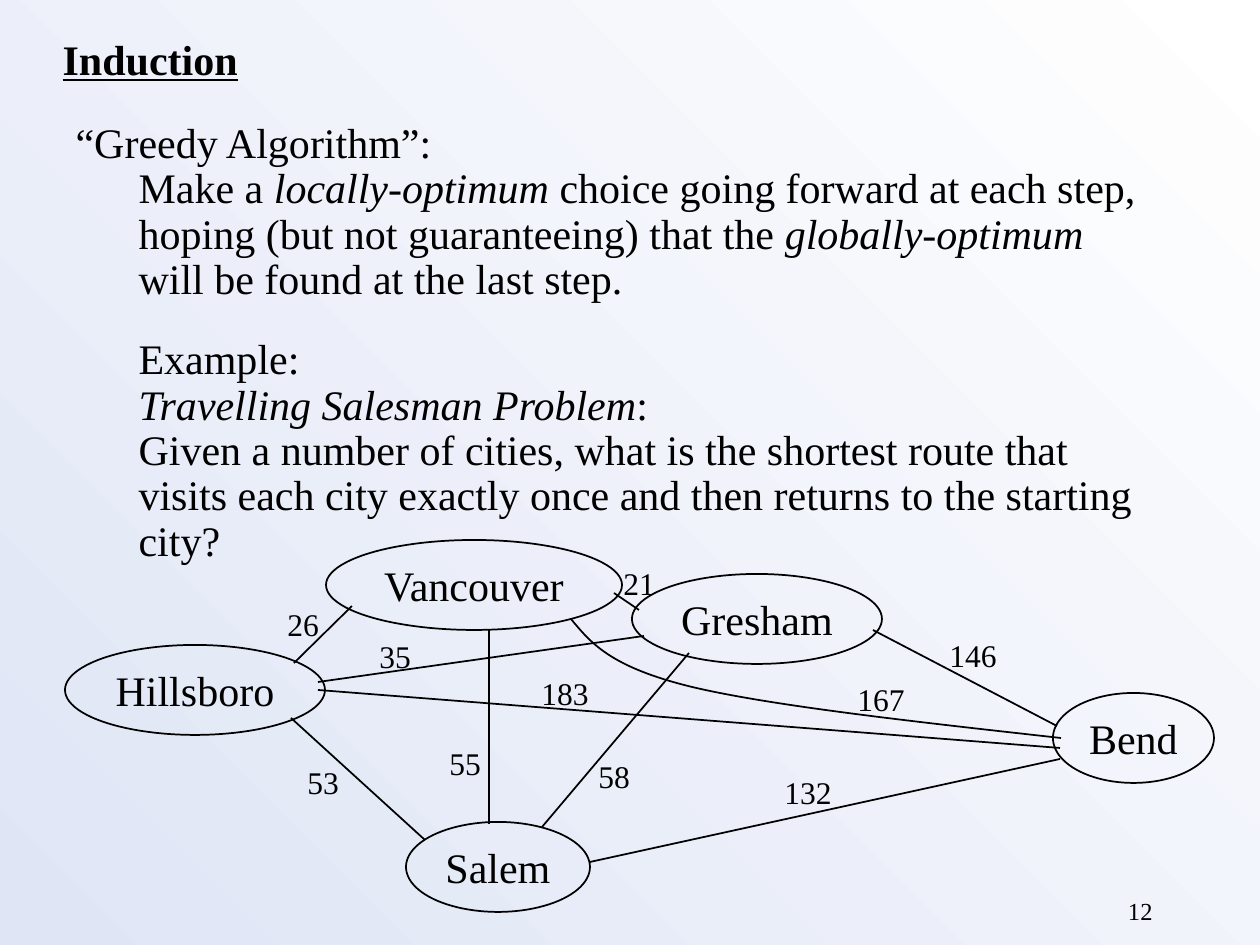
from collections import namedtuple
from dataclasses import dataclass

from lxml.etree import SubElement
from pptx import Presentation
from pptx.dml.color import RGBColor
from pptx.enum.shapes import MSO_CONNECTOR as Connector, MSO_SHAPE as Shape
from pptx.enum.text import MSO_ANCHOR as Anchor, MSO_AUTO_SIZE as AutoSize, PP_ALIGN as Align
from pptx.oxml.ns import qn
from pptx.util import Emu, Pt

Box = namedtuple("Box", "left top width height")


@dataclass(frozen=True)
class Theme:
    font: str = "Times New Roman"
    ink: RGBColor = RGBColor(0x00, 0x00, 0x00)
    light: RGBColor = RGBColor(0xFF, 0xFF, 0xFF)
    tint: RGBColor = RGBColor(0xDF, 0xE5, 0xF5)
    main_size: int = 24
    distance_size: int = 18
    number_size: int = 14
    stroke: int = 1


THEME = Theme()

# Cities: left, top and width of each ellipse inside the map
CITY_HEIGHT = 90
CITIES = {
    "Vancouver": (262, 0, 296),
    "Salem": (342, 282, 184),
    "Bend": (989, 153, 161),
    "Gresham": (568, 34, 250),
    "Hillsboro": (1, 105, 260),
}

# Straight roads: distance, start, end, corner of the distance label
ROADS = [
    ("26", (288, 66), (230, 123), (211, 59)),
    ("55", (425, 90), (425, 284), (373, 198)),
    ("21", (550, 53), (575, 70), (547, 18)),
    ("146", (809, 90), (993, 186), (873, 90)),
    ("53", (227, 178), (361, 300), (231, 217)),
    ("132", (526, 322), (996, 219), (708, 227)),
    ("58", (625, 113), (478, 287), (522, 211)),
    ("183", (996, 208), (254, 150), (465, 128)),
    ("35", (254, 142), (580, 96), (303, 91)),
]

# Curved road from Vancouver to Bend: start, then three points for each cubic
BEND_ROAD = [(507, 79), (527, 103), (546, 127), (628, 147),
             (708, 166), (853, 182), (997, 198)]
BEND_DISTANCE = ("167", (781, 134))


def px(length):
    return Emu(round(length * 914400 / 126))


def place(shape, box):
    shape.left, shape.top, shape.width, shape.height = map(px, box)


def write(shape, paragraphs, size=THEME.main_size, bold=None, underline=None,
          align=Align.LEFT, anchor=Anchor.TOP, wrap=False, spacing=None):
    """Fill a shape with paragraphs: (runs, indent, space before) each,
    a run being (words, italic)."""
    frame = shape.text_frame
    frame.auto_size = AutoSize.NONE
    frame.word_wrap = wrap
    frame.vertical_anchor = anchor
    for index, (runs, indent, before) in enumerate(paragraphs):
        paragraph = frame.add_paragraph() if index else frame.paragraphs[0]
        paragraph.alignment = align
        paragraph.space_before = Pt(before)
        if spacing:
            paragraph.line_spacing = spacing
        properties = paragraph._p.get_or_add_pPr()
        properties.set("marL", str(px(indent)))
        properties.set("indent", "0")
        SubElement(properties, qn("a:buNone"))
        for words, italic in runs:
            run = paragraph.add_run()
            run.text = words
            font = run.font
            font.name, font.size = THEME.font, Pt(size)
            font.bold, font.italic, font.underline = bold, italic, underline
            font.color.rgb = THEME.ink


def plain(words):
    return [([(words, False)], 0, 0)]


def label(slide, box, words, **text_format):
    text_box = slide.shapes.add_textbox(*map(px, box))
    write(text_box, plain(words), **text_format)


def outline(shape):
    shape.line.color.rgb = THEME.ink
    shape.line.width = Pt(THEME.stroke)


def paint_background(slide):
    fill = slide.background.fill
    fill.gradient()
    fill.gradient_angle = 225
    for stop, colour, position in zip(fill.gradient_stops, (THEME.light, THEME.tint), (0, 1)):
        stop.color.rgb = colour
        stop.position = position


def add_heading(slide, box):
    heading = slide.shapes.title
    place(heading, box)
    write(heading, plain("Induction"), bold=True, underline=True)


def add_explanation(slide, box):
    explanation = slide.placeholders[1]
    place(explanation, box)
    indent = 63
    write(explanation, [
        ([("“Greedy Algorithm”:", False)], 0, 0),
        ([("Make a ", False), ("locally-optimum", True),
          (" choice going forward at each step, hoping (but not guaranteeing) that the ", False),
          ("globally-optimum", True),
          (" will be found at the last step.", False)], indent, 0),
        ([("Example:", False)], indent, 20),
        ([("Travelling Salesman Problem", True), (":", False)], indent, 0),
        ([("Given a number of cities, what is the shortest route that visits each city "
           "exactly once and then returns to the starting city?", False)], indent, 0),
    ], wrap=True, spacing=0.9)


def add_curve(slide, points):
    start, *rest = [(px(x), px(y)) for x, y in points]
    builder = slide.shapes.build_freeform(*start)
    builder.add_line_segments(rest, close=False)
    road = builder.convert_to_shape()
    road.shadow.inherit = False
    road.fill.background()
    outline(road)
    # Turn every three straight segments into one cubic curve
    route = road._element.find(".//" + qn("a:path"))
    segments = route.findall(qn("a:lnTo"))
    for first in range(0, len(segments), 3):
        cubic = SubElement(route, qn("a:cubicBezTo"))
        for segment in segments[first:first + 3]:
            cubic.append(segment[0])
            route.remove(segment)


def add_city_map(slide, box):
    def at(point):
        return box.left + point[0], box.top + point[1]

    # Cities
    for name, (left, top, width) in CITIES.items():
        city = slide.shapes.add_shape(
            Shape.OVAL, *map(px, (*at((left, top)), width, CITY_HEIGHT)))
        city.shadow.inherit = False
        city.fill.background()
        outline(city)
        write(city, plain(name), align=Align.CENTER, anchor=Anchor.MIDDLE)

    # Roads
    for _, start, end, _ in ROADS:
        road = slide.shapes.add_connector(
            Connector.STRAIGHT, *map(px, at(start) + at(end)))
        outline(road)
        SubElement(road._element.spPr, qn("a:effectLst"))
    add_curve(slide, [at(point) for point in BEND_ROAD])

    # Distances
    distances = [(distance, corner) for distance, _, _, corner in ROADS]
    for distance, corner in distances + [BEND_DISTANCE]:
        width = 27 + 15 * len(distance)
        label(slide, (*at(corner), width, 50), distance, size=THEME.distance_size)


def main():
    deck = Presentation()
    deck.slide_width, deck.slide_height = px(1260), px(945)
    slide = deck.slides.add_slide(deck.slide_layouts[1])
    paint_background(slide)
    add_heading(slide, Box(50, 27, 260, 63))
    add_explanation(slide, Box(63, 116, 1106, 546))
    add_city_map(slide, Box(64, 540, 1150, 373))
    label(slide, Box(903, 890, 262, 34), "12", size=THEME.number_size,
          align=Align.RIGHT, wrap=True)
    deck.save("out.pptx")


if __name__ == "__main__":
    main()
